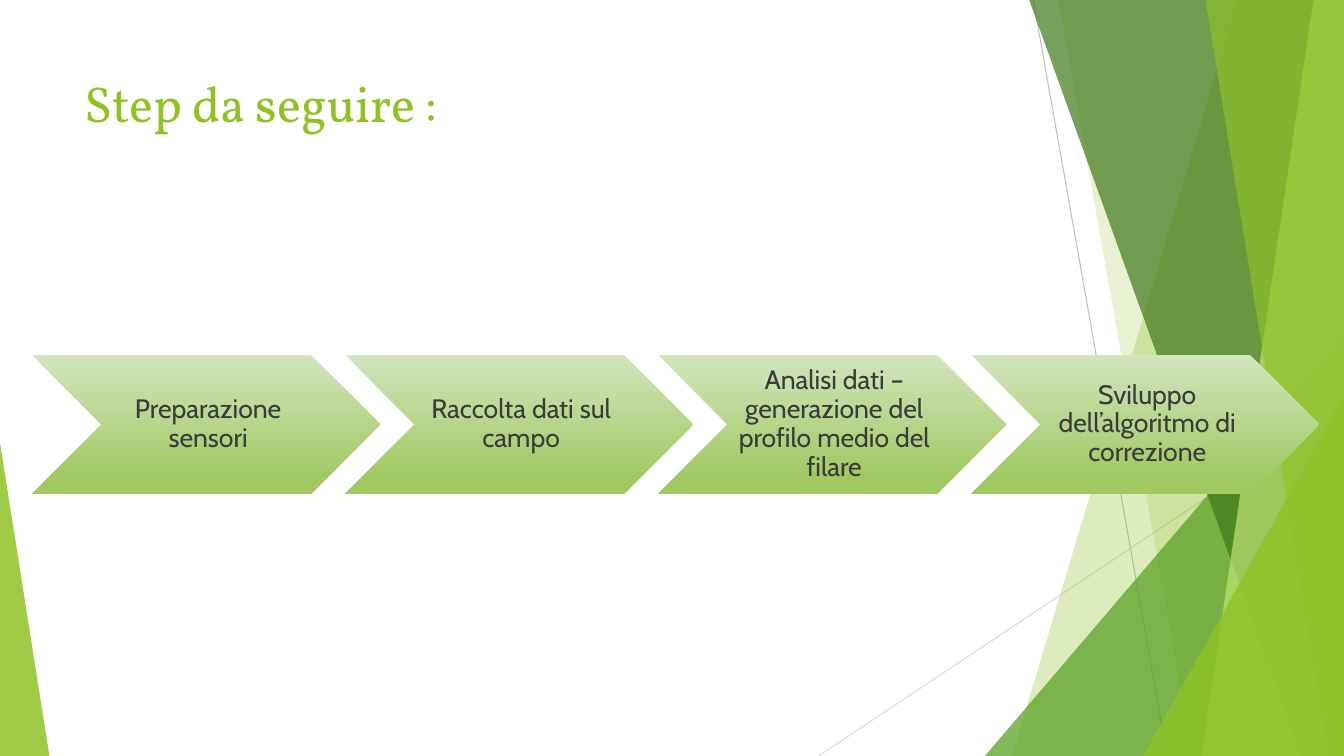
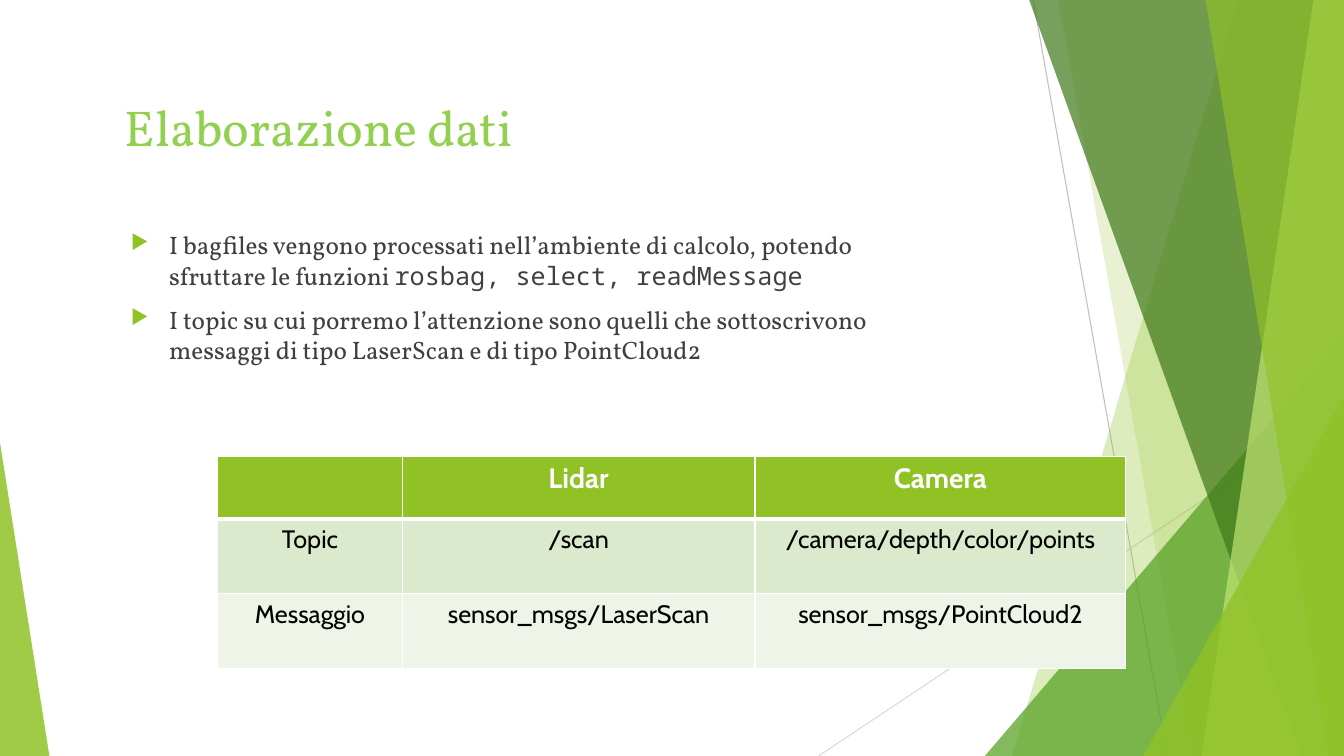
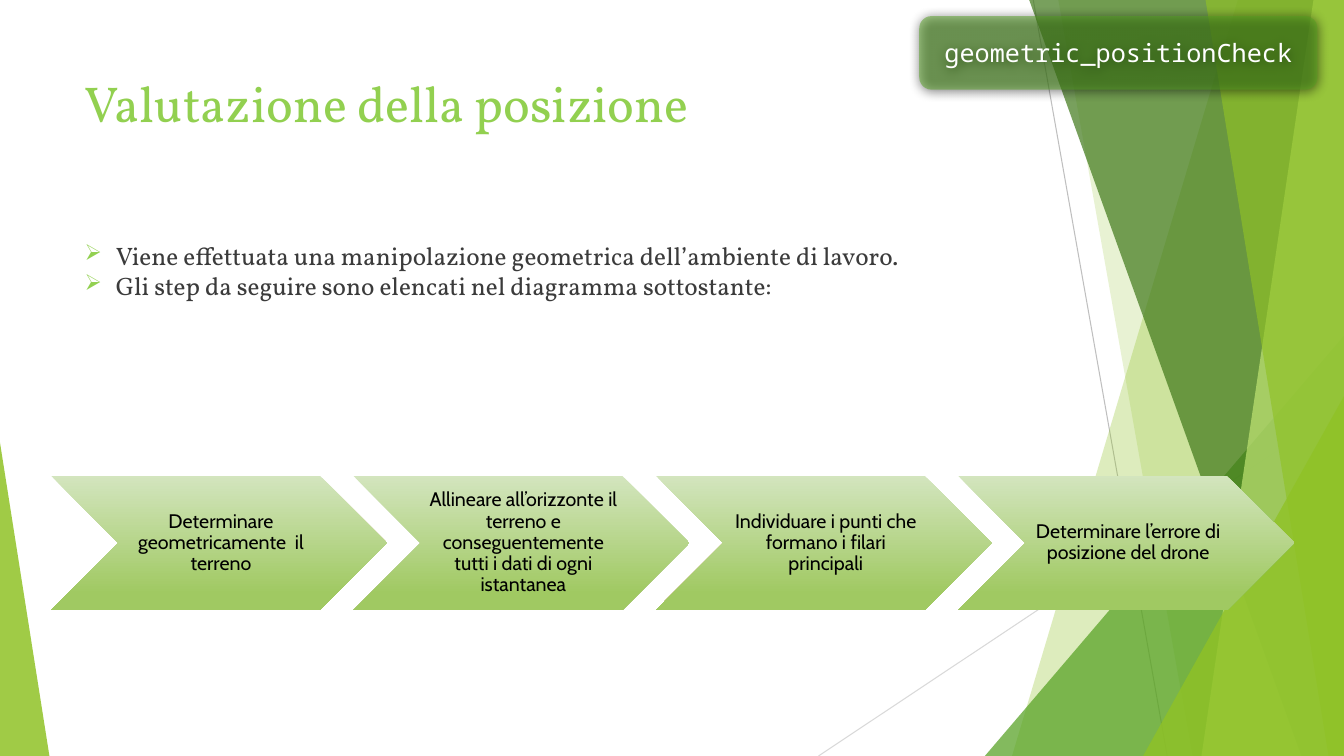
from typing import NamedTuple

from lxml import etree
from pptx import Presentation
from pptx.dml.color import RGBColor
from pptx.enum.shapes import MSO_CONNECTOR, MSO_SHAPE
from pptx.enum.text import MSO_ANCHOR, PP_ALIGN
from pptx.oxml.ns import qn
from pptx.util import Emu, Inches, Pt

STRAIGHT = MSO_CONNECTOR.STRAIGHT
TRIANGLE, CHEVRON, ROUNDED = MSO_SHAPE.ISOSCELES_TRIANGLE, MSO_SHAPE.CHEVRON, MSO_SHAPE.ROUNDED_RECTANGLE
TOP, MIDDLE = MSO_ANCHOR.TOP, MSO_ANCHOR.MIDDLE
LEFT, CENTER = PP_ALIGN.LEFT, PP_ALIGN.CENTER

WIDTH, HEIGHT = Inches(13.333), Inches(7.5)
SERIF, SANS, MONO = "Vollkorn", "Cabin", "Noto Sans Mono"
GREEN, LIME, LEAF, FOREST, PALE = "90C226", "92D050", "54A021", "3F7819", "C0E474"
WHITE, BLACK, DARK, GREY = "FFFFFF", "000000", "3B3B3B", "404040"


class Box(NamedTuple):
    left: float
    top: float
    width: float
    height: float


class Line(NamedTuple):
    x1: float
    y1: float
    x2: float
    y2: float
    color: str


class Band(NamedTuple):
    top_x: float
    bottom_x: float
    color: str
    alpha: int


class Wedge(NamedTuple):
    box: Box
    apex: float
    color: str
    alpha: int


class Run(NamedTuple):
    text: str
    font: str


class Bullet(NamedTuple):
    char: str
    color: str
    size: int
    indent: float


LINES = [Line(76.88, 0, 86.85, 100, "BFBFBF"), Line(100, 53.73, 60.9, 100, "D9D9D9")]
DECOR = [
    Band(92.1, 75.3, GREEN, 30),
    Band(78.75, 88.73, GREEN, 20),
    Wedge(Box(73.28, 44.4, 26.72, 55.6), 1, LEAF, 72),
    Band(76.58, 96.83, FOREST, 70),
    Band(97.73, 89.4, PALE, 70),
    Band(89.7, 98.85, GREEN, 65),
    Wedge(Box(85.05, 52.4, 14.95, 47.6), 1, GREEN, 80),
    Wedge(Box(0, 58.53, 3.68, 41.47), 0, GREEN, 85),
]
TITLE = Box(5.55, 8.93, 70.5, 19.2)


def rgb(color: str) -> RGBColor:
    return RGBColor.from_string(color)


def px(share: float) -> Emu:
    return Emu(round(WIDTH * share / 100))


def py(share: float) -> Emu:
    return Emu(round(HEIGHT * share / 100))


def place(box: Box) -> tuple[Emu, Emu, Emu, Emu]:
    return px(box.left), py(box.top), px(box.width), py(box.height)


def sub(parent, tag: str, **attrs):
    return etree.SubElement(parent, qn(tag), {k: str(v) for k, v in attrs.items()})


def paint(shape, color: str, alpha: int) -> None:
    shape.shadow.inherit = False
    shape.line.fill.background()
    shape.fill.solid()
    shape.fill.fore_color.rgb = rgb(color)
    sub(shape._element.spPr.find(".//" + qn("a:srgbClr")), "a:alpha", val=alpha * 1000)


def add_bullet(p, bullet: Bullet) -> None:
    pPr = p._p.get_or_add_pPr()
    indent = Inches(bullet.indent)
    pPr.set("marL", str(indent))
    pPr.set("indent", str(-indent))
    sub(sub(pPr, "a:buClr"), "a:srgbClr", val=bullet.color)
    sub(pPr, "a:buSzPct", val=bullet.size * 1000)
    sub(pPr, "a:buChar", char=bullet.char)


def write(tf, paragraphs: list[list[Run]], *, size: float, color: str, align=LEFT, anchor=TOP,
          bold: bool = False, spacing: float = 1.0, before: float = 0,
          bullet: Bullet | None = None) -> None:
    tf.word_wrap = True
    tf.vertical_anchor = anchor
    for i, runs in enumerate(paragraphs):
        p = tf.add_paragraph() if i else tf.paragraphs[0]
        if bullet:
            add_bullet(p, bullet)
        p.alignment = align
        p.line_spacing = spacing
        p.space_before = Pt(before if i else 0)
        for run in runs:
            r = p.add_run()
            r.text = run.text
            r.font.name, r.font.size, r.font.bold = run.font, Pt(size), bold
            r.font.color.rgb = rgb(color)


def add_text(s, box: Box, paragraphs: list[list[Run]], **fmt) -> None:
    write(s.shapes.add_textbox(*place(box)).text_frame, paragraphs, **fmt)


def add_title(s, text: str, color: str = LIME, box: Box = TITLE, **fmt) -> None:
    add_text(s, box, [[Run(text, SERIF)]], size=36, color=color, **fmt)


def add_line(s, line: Line) -> None:
    c = s.shapes.add_connector(STRAIGHT, px(line.x1), py(line.y1), px(line.x2), py(line.y2))
    c.line.color.rgb = rgb(line.color)
    c.line.width = Pt(0.75)
    sub(c._element.spPr, "a:effectLst")


def add_band(s, band: Band) -> None:
    fb = s.shapes.build_freeform(px(band.top_x), 0)
    fb.add_line_segments([(WIDTH, 0), (WIDTH, HEIGHT), (px(band.bottom_x), HEIGHT)], close=True)
    paint(fb.convert_to_shape(), band.color, band.alpha)


def add_wedge(s, wedge: Wedge) -> None:
    shape = s.shapes.add_shape(TRIANGLE, *place(wedge.box))
    shape.adjustments[0] = wedge.apex
    paint(shape, wedge.color, wedge.alpha)


def new_slide(prs):
    s = prs.slides.add_slide(prs.slide_layouts[6])
    for line in LINES:
        add_line(s, line)
    for item in DECOR:
        if isinstance(item, Band):
            add_band(s, item)
        else:
            add_wedge(s, item)
    return s


def add_steps(s, left: float, top: float, width: float, labels: list[str], *,
              size: float, color: str, inset: float) -> None:
    w = px(width)
    for i, label in enumerate(labels):
        x = Emu(round(px(left) + i * w * 0.9))
        shape = s.shapes.add_shape(CHEVRON, x, py(top), w, Emu(round(w * 0.4)))
        shape.shadow.inherit = False
        shape.line.fill.background()
        shape.fill.gradient()
        shape.fill.gradient_angle = 270
        for stop, (position, tint) in zip(shape.fill.gradient_stops, [(0, "D3E5BE"), (0.88, "A0C962")]):
            stop.position = position
            stop.color.rgb = rgb(tint)
        tf = shape.text_frame
        tf.margin_left = Inches(inset + 0.04)
        tf.margin_top = tf.margin_right = tf.margin_bottom = Inches(inset)
        write(tf, [[Run(label, SANS)]], size=size, color=color, align=CENTER, anchor=MIDDLE, spacing=0.9)


def add_borders(cell, bottom: float) -> None:
    tcPr = cell._tc.get_or_add_tcPr()
    for side, width in (("L", 1), ("R", 1), ("T", 1), ("B", bottom)):
        ln = sub(tcPr, f"a:ln{side}", w=Pt(width))
        sub(sub(ln, "a:solidFill"), "a:srgbClr", val=WHITE)


def add_grid(s, box: Box, cols: list[float], heights: list[float], rows: list[list[str]]) -> None:
    table = s.shapes.add_table(len(rows), len(cols), *place(box)).table
    for col, share in zip(table.columns, cols):
        col.width = px(share)
    for i, (row, share) in enumerate(zip(table.rows, heights)):
        row.height = py(share)
        header = i == 0
        for cell, text in zip(row.cells, rows[i]):
            add_borders(cell, 3 if header else 1)
            cell.fill.solid()
            cell.fill.fore_color.rgb = rgb([GREEN, "DBE9CD", "EEF4E8"][i])
            if text:
                write(cell.text_frame, [[Run(text, SANS)]], size=20 if header else 18,
                      color=WHITE if header else BLACK, bold=header, align=CENTER)


def add_badge(s, box: Box, text: str) -> None:
    shape = s.shapes.add_shape(ROUNDED, *place(box))
    paint(shape, LEAF, 50)
    shadow = sub(shape._element.spPr.find(qn("a:effectLst")), "a:outerShdw",
                 blurRad=Pt(8.5), dist=Pt(1), dir=5400000, algn="ctr", rotWithShape=0)
    sub(shadow, "a:srgbClr", val=BLACK)
    write(shape.text_frame, [[Run(text, MONO)]], size=18, color=WHITE, align=CENTER, anchor=MIDDLE)


def steps_slide(prs) -> None:
    s = new_slide(prs)
    add_title(s, "Step da seguire :", GREEN)
    add_steps(s, 2.4, 46.93, 25.88, [
        "Preparazione sensori",
        "Raccolta dati sul campo",
        "Analisi dati – generazione del profilo medio del filare",
        "Sviluppo dell’algoritmo di correzione",
    ], size=19, color=DARK, inset=0.03)


def data_slide(prs) -> None:
    s = new_slide(prs)
    add_text(s, Box(9, 29.73, 62.1, 50.67), [
        [Run("I bagfiles vengono processati nell’ambiente di calcolo, potendo sfruttare le funzioni ", SERIF),
         Run("rosbag, select, readMessage", MONO)],
        [Run("I topic su cui porremo l’attenzione sono quelli che sottoscrivono messaggi di tipo "
             "LaserScan e di tipo PointCloud2", SERIF)],
    ], size=18, color=GREY, before=10, bullet=Bullet("▶", GREEN, 80, 0.38))
    add_grid(s, Box(16.2, 60.4, 67.58, 28), [13.73, 26.25, 27.6], [8.27, 9.87, 9.87], [
        ["", "Lidar", "Camera"],
        ["Topic", "/scan", "/camera/depth/color/points"],
        ["Messaggio", "sensor_msgs/LaserScan", "sensor_msgs/PointCloud2"],
    ])
    add_title(s, "Elaborazione dati", box=Box(8.55, 7.6, 86.25, 19.33), anchor=MIDDLE, spacing=0.9)


def position_slide(prs) -> None:
    s = new_slide(prs)
    add_title(s, "Valutazione della posizione")
    add_steps(s, 3.8, 62.93, 25, [
        "Determinare geometricamente  il terreno",
        "Allineare all’orizzonte il terreno e conseguentemente tutti i dati di ogni istantanea",
        "Individuare i punti che formano i filari principali",
        "Determinare l’errore di posizione del drone",
    ], size=14, color=BLACK, inset=0.02)
    add_text(s, Box(5.55, 31.07, 70.5, 9.47), [
        [Run("Viene effettuata una manipolazione geometrica dell’ambiente di lavoro.", SERIF)],
        [Run("Gli step da seguire sono elencati nel diagramma sottostante:", SERIF)],
    ], size=18, color=DARK, bullet=Bullet("➢", LIME, 88, 0.31))
    add_badge(s, Box(68.4, 2.13, 29.63, 9.73), "geometric_positionCheck")


def main() -> None:
    prs = Presentation()
    prs.slide_width, prs.slide_height = WIDTH, HEIGHT
    steps_slide(prs)
    data_slide(prs)
    position_slide(prs)
    prs.save("out.pptx")


if __name__ == "__main__":
    main()
